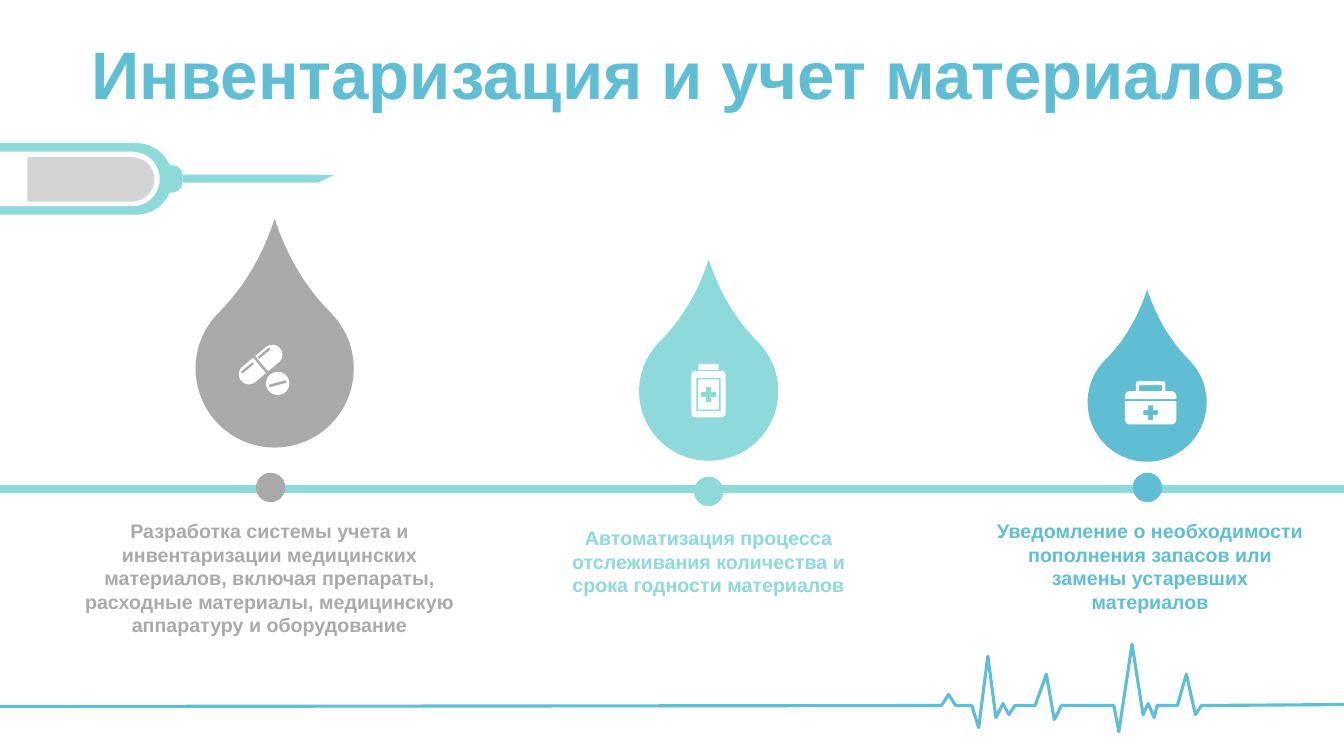
from math import cos, pi, radians, sin

from pptx import Presentation
from pptx.dml.color import RGBColor
from pptx.enum import shapes, text
from pptx.util import Pt

COLORS = {
    "blue": "60BED4",
    "mint": "8EDADA",
    "grey": "AAAAAA",
    "light": "D4D4D4",
    "white": "FFFFFF",
}
KIND = shapes.MSO_SHAPE

STEPS = [
    dict(color="grey", drop=(196.2, 263.2, 113), dot=(193.3, 348.2),
         box=(47.5, 367.2, 290, 92),
         text="Разработка системы учета и инвентаризации медицинских материалов, "
              "включая препараты, расходные материалы, медицинскую аппаратуру и оборудование"),
    dict(color="mint", drop=(506.2, 279.4, 99.4), dot=(506.2, 351),
         box=(389.5, 372.2, 233.3, 58),
         text="Автоматизация процесса отслеживания количества и срока годности материалов"),
    dict(color="blue", drop=(819.4, 287.3, 85), dot=(819.6, 348.2),
         box=(704.9, 367.2, 233.3, 75),
         text="Уведомление о необходимости пополнения запасов или замены устаревших материалов"),
]

SYRINGE = [
    (KIND.ROUND_2_SAME_RECTANGLE, (36, 66.2, 51.1, 123.1), 90, "mint"),
    (KIND.ROUND_2_SAME_RECTANGLE, (37.4, 70.6, 38.9, 114.5), 90, "white"),
    (KIND.ROUND_2_SAME_RECTANGLE, (113.8, 121, 19.4, 13.7), 90, "mint"),
    (KIND.RECTANGLE, (130.3, 124.7, 96.5, 5.8), 0, "mint"),
    (KIND.RIGHT_TRIANGLE, (229.8, 121.7, 5.8, 12.2), 90, "mint"),
    (KIND.ROUND_2_SAME_RECTANGLE, (49, 82.8, 31.7, 90.7), 90, "light"),
]

PULSE = [
    (960, 503.3), (858.2, 504), (853.9, 510.5), (847.4, 481.7), (841, 504),
    (826.6, 504), (824.4, 512.6), (820.1, 502.6), (816.5, 510.5), (808.6, 460.1),
    (799.2, 522.7), (795.6, 504), (758.2, 504), (753.1, 514.1), (747.4, 481.7),
    (739.4, 504), (725, 504), (720.7, 510.5), (716.4, 502.6), (711.4, 512.6),
    (705.6, 468.7), (699.1, 519.8), (694.1, 504), (682.6, 504), (677.5, 496.1),
    (672.5, 504), (0, 504.7),
]


def rgb(name):
    return RGBColor.from_string(COLORS[name])


def paint(sp, color):
    sp.shadow.inherit = False
    sp.fill.solid()
    sp.fill.fore_color.rgb = rgb(color)
    sp.line.fill.background()


def add_preset(parent, kind, box, color, rotation=0, adjust=None):
    sp = parent.add_shape(kind, *map(Pt, box))
    paint(sp, color)
    sp.rotation = rotation
    if adjust is not None:
        sp.adjustments[0] = adjust
    return sp


def add_centered(parent, kind, cx, cy, size, color, **extra):
    return add_preset(parent, kind, (cx - size / 2, cy - size / 2, size, size), color, **extra)


def rounded(cx, cy, w, h, radii=(0, 0, 0, 0), angle=0, steps=8):
    turn = radians(angle)
    points = []
    for i, (sx, sy) in enumerate([(-1, -1), (1, -1), (1, 1), (-1, 1)]):
        r = radii[i]
        for k in range(steps + 1 if r else 1):
            a = pi + (i + k / steps) * pi / 2
            x = sx * (w / 2 - r) + r * cos(a) if r else sx * w / 2
            y = sy * (h / 2 - r) + r * sin(a) if r else sy * h / 2
            points.append((cx + x * cos(turn) - y * sin(turn),
                           cy + x * sin(turn) + y * cos(turn)))
    return points


def cross(cx, cy, arm, half):
    corner = [(-half, -arm), (half, -arm), (half, -half)]
    points = []
    for _ in range(4):
        points += [(cx + x, cy + y) for x, y in corner]
        corner = [(-y, x) for x, y in corner]
    return points


def add_outline(parent, contours, left=0, top=0, closed=True):
    placed = [[(Pt(left + x), Pt(top + y)) for x, y in c] for c in contours]
    builder = parent.build_freeform(*placed[0][0])
    for i, c in enumerate(placed):
        if i:
            builder.move_to(*c[0])
        builder.add_line_segments(c[1:], close=closed)
    return builder.convert_to_shape()


def add_pulse(parent):
    sp = add_outline(parent, [PULSE], closed=False)
    sp.shadow.inherit = False
    sp.fill.background()
    sp.line.color.rgb = rgb("blue")
    sp.line.width = Pt(2.25)


def add_icons(parent):
    pills = [
        rounded(8.9, 20.3, 17, 14.2, (7, 0, 0, 7), -40),
        rounded(23.5, 8.1, 17, 14.2, (0, 7, 7, 0), -40),
        rounded(6.8, 16.6, 11, 1.9, (0.9,) * 4, -40),
        rounded(18.7, 6.1, 11, 1.9, (0.9,) * 4, -40),
        rounded(28.4, 27.7, 16.6, 16.6, (8.3,) * 4),
        rounded(28.4, 27.9, 13, 2, (1,) * 4, -15),
    ]
    bottle = [
        rounded(12.2, 2.1, 14.4, 4.3, (0.8, 0.8, 0, 0)),
        rounded(12.2, 21.6, 24.5, 33.2, (3,) * 4),
        rounded(12.2, 21.9, 17.3, 23.8),
        rounded(12.2, 21.9, 14.8, 21.6),
        cross(12.2, 21.9, 5.5, 1.9),
    ]
    kit = [
        rounded(18.4, 10.1, 36.7, 5.8, (3.6, 3.6, 0, 0)),
        rounded(18.4, 22.7, 36.7, 16.6, (0, 0, 3.6, 3.6)),
        rounded(18.4, 3.6, 20.9, 7.2, (2, 2, 0, 0)),
        rounded(18.4, 5, 16.6, 4.3, (1, 1, 0, 0)),
        cross(18.4, 22.6, 5.2, 1.8),
    ]
    for contours, left, top in [(pills, 170, 246.2), (bottle, 493.9, 259.9), (kit, 803.5, 272.2)]:
        paint(add_outline(parent, contours, left, top), "white")


def write(sp, words, size, color):
    tf = sp.text_frame
    tf.word_wrap = True
    tf.auto_size = text.MSO_AUTO_SIZE.SHAPE_TO_FIT_TEXT
    p = tf.paragraphs[0]
    p.alignment = text.PP_ALIGN.CENTER
    r = p.add_run()
    r.text = words
    for name, value in dict(name="Arial", size=Pt(size), bold=True).items():
        setattr(r.font, name, value)
    r.font.color.rgb = rgb(color)


def add_title(slide, words):
    sp = slide.shapes.title
    box = dict(left=11.5, top=19.4, width=961.2, height=65.5)
    for name, value in box.items():
        setattr(sp, name, Pt(value))
    write(sp, words, 48, "blue")


def main():
    prs = Presentation()
    prs.slide_width, prs.slide_height = Pt(960), Pt(540)
    slide = prs.slides.add_slide(prs.slide_layouts[5])
    parts = slide.shapes
    add_title(slide, "Инвентаризация и учет материалов")
    add_pulse(parts)
    syringe = parts.add_group_shape().shapes
    for kind, box, rotation, color in SYRINGE:
        adjust = 0.5 if kind == KIND.ROUND_2_SAME_RECTANGLE else None
        add_preset(syringe, kind, box, color, rotation, adjust)
    add_preset(parts, KIND.RECTANGLE, (0, 346.3, 960, 5.8), "mint")
    for step in STEPS:
        color = step["color"]
        add_centered(parts, KIND.TEAR, *step["drop"], color, rotation=315, adjust=1.339)
        add_centered(parts, KIND.OVAL, *step["dot"], 21, color)
        write(parts.add_textbox(*map(Pt, step["box"])), step["text"], 14, color)
    add_icons(parts)
    prs.save("out.pptx")


if __name__ == "__main__":
    main()
